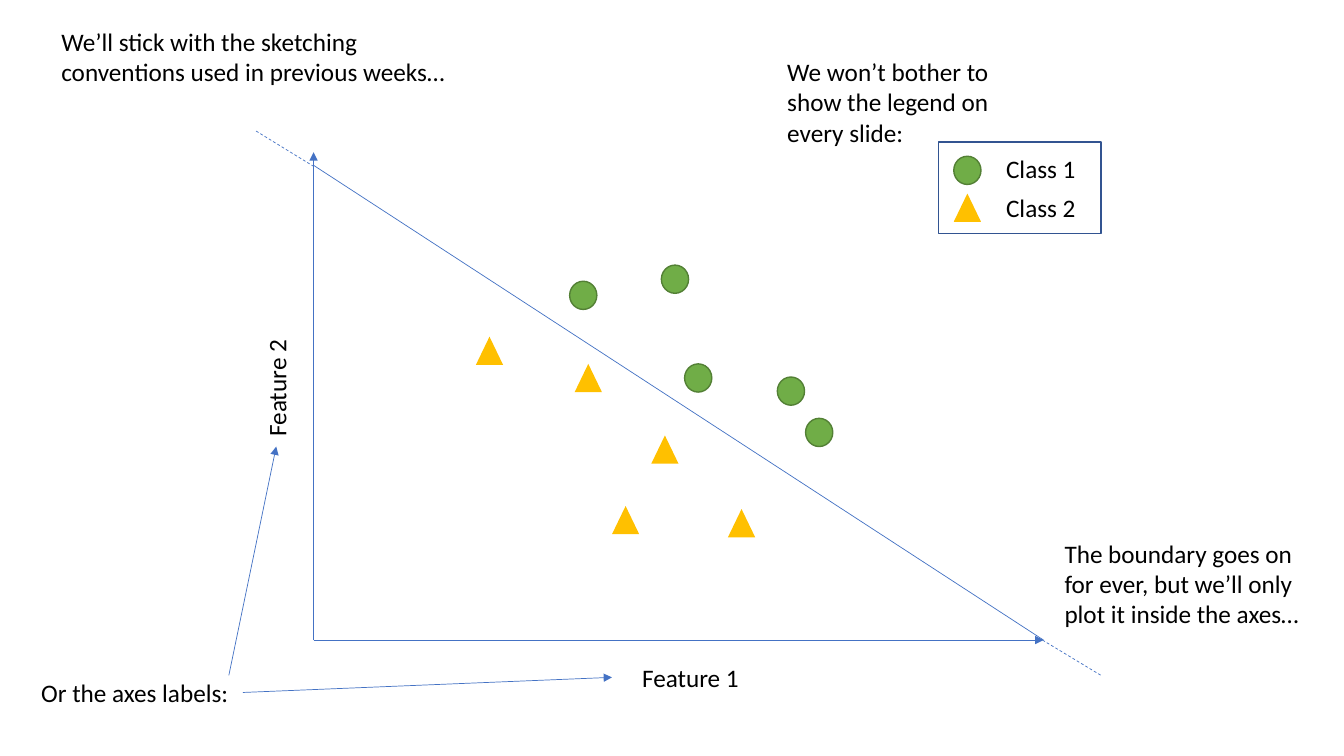
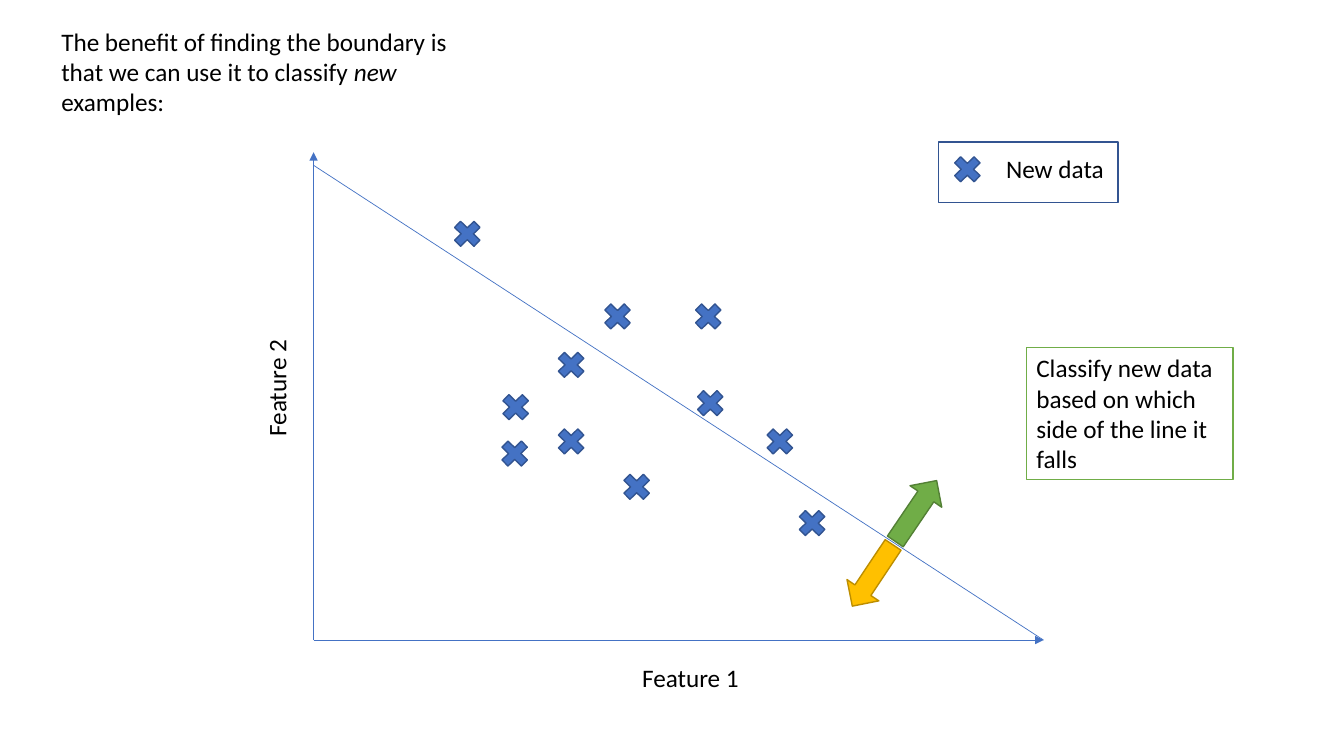
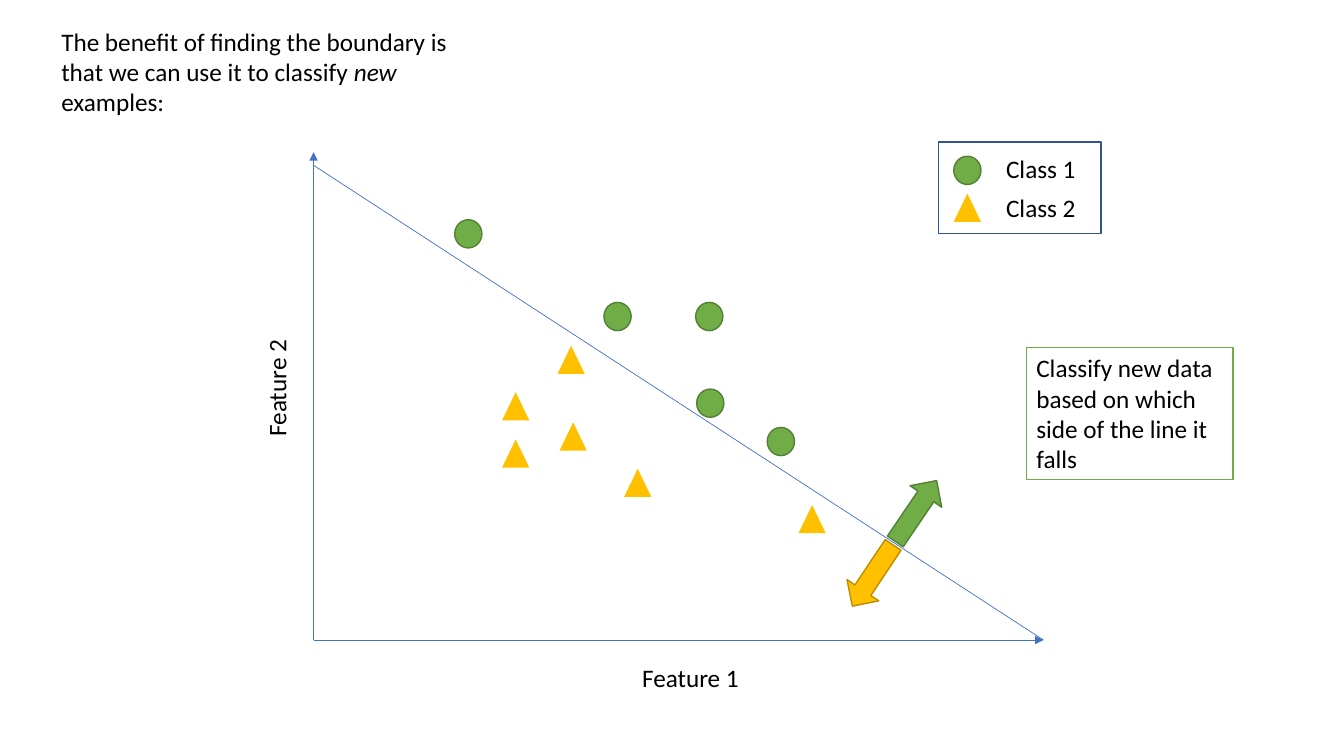
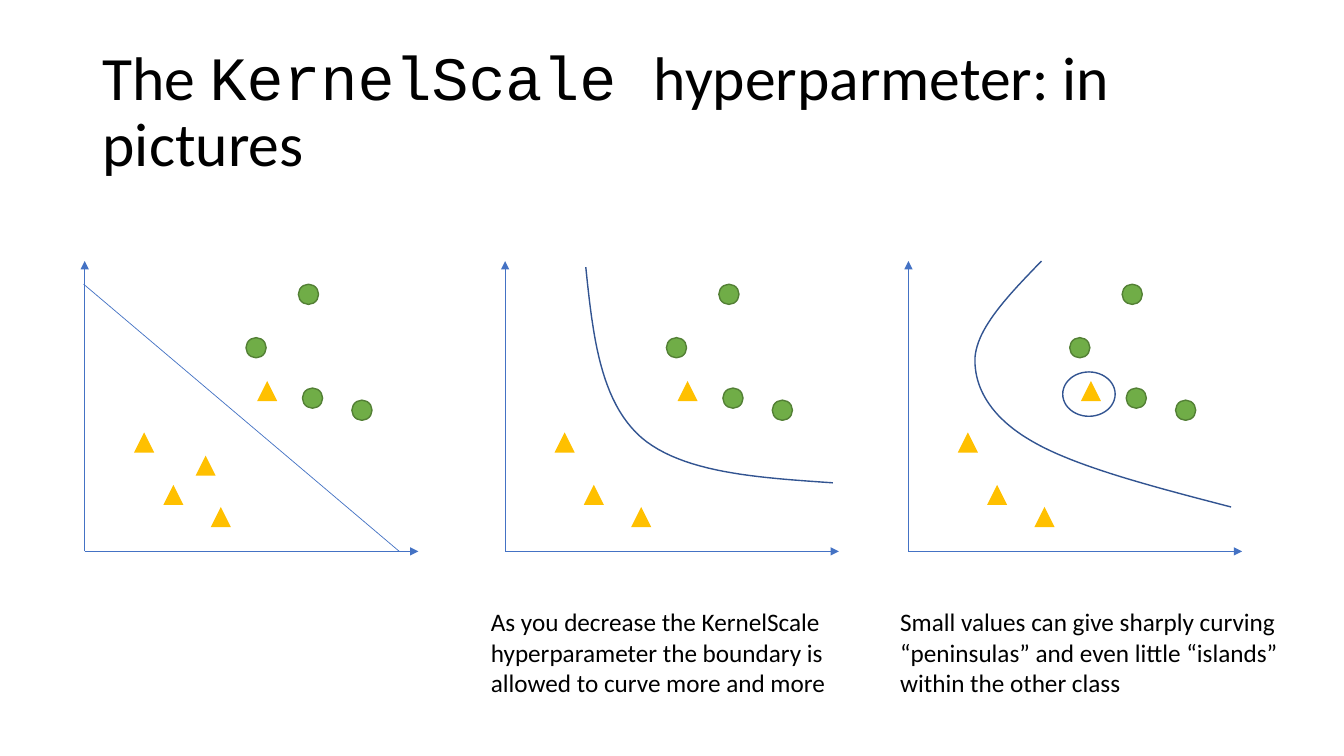
from pptx import Presentation
from pptx import util as u
from pptx.dml.color import RGBColor
from pptx.enum import dml, shapes, text
from pptx.oxml.xmlchemy import OxmlElement

FONT, CODE_FONT = "Calibri", "Courier New"
BLACK, WHITE = "000000", "FFFFFF"
BLUE, NAVY = "4472C4", "325491"
GREEN, DARK_GREEN = "70AD47", "538035"
GOLD, DARK_GOLD = "FFC000", "BD8E00"

# kind: preset, fill, line, width, height
MARKERS = {
    "class 1": (shapes.MSO_SHAPE.OVAL, GREEN, DARK_GREEN, 0.27, 0.28),
    "class 2": (shapes.MSO_SHAPE.ISOSCELES_TRIANGLE, GOLD, None, 0.27, 0.28),
    "new": (shapes.MSO_SHAPE.MATH_MULTIPLY, BLUE, NAVY, 0.37, 0.36),
}

# Large plot: training data, then new data before and after classification
TRAINING = {
    "class 2": [(4.72, 3.34), (5.7, 3.61), (6.46, 4.32), (7.22, 5.05), (6.07, 5.02)],
    "class 1": [(5.65, 2.79), (6.56, 2.63), (6.79, 3.61), (7.71, 3.74), (7.99, 4.15)],
}
UNLABELLED = {
    "new": [(4.93, 3.86), (5.48, 4.2), (5.48, 3.44), (6.86, 3.82), (5.94, 2.96), (4.45, 2.14),
            (7.55, 4.2), (4.92, 4.32), (6.13, 4.65), (7.87, 5.01), (6.84, 2.96)],
}
CLASSIFIED = {
    "class 1": [(6.91, 3.86), (6.9, 3), (7.61, 4.24), (4.51, 2.18), (5.99, 3)],
    "class 2": [(5.55, 4.19), (5.53, 3.43), (4.98, 4.36), (4.98, 3.89), (6.19, 4.65),
                (7.92, 5.01)],
}
CLASS_LEGEND = [("class 1", 9.46, 1.55, "Class 1"), ("class 2", 9.46, 1.92, "Class 2")]
NEW_LEGEND = [("new", 9.41, 1.5, "New data")]

CONVENTION_NOTES = [
    ("We’ll stick with the sketching conventions used in previous weeks…", 0.51, 0.21, 4.06, 0.71),
    ("We won’t bother to show the legend on every slide:", 7.71, 0.51, 2.63, 1.01),
    ("Or the axes labels:", 0.31, 6.67, 2.63, 0.4),
    ("The boundary goes on for ever, but we’ll only plot it inside the axes…",
     10.46, 5.29, 2.63, 1.01),
]
BOUNDARY_EXTENSIONS = [((2.54, 1.3), (3.11, 1.65)), ((10.34, 6.35), (10.92, 6.7))]
LABEL_POINTERS = [((2.27, 6.7), (2.74, 4.43)), ((2.41, 6.87), (6.07, 6.72))]

BENEFIT = [("The benefit of finding the boundary is that we can use it to classify ", {}),
           ("new", {"italic": True}), (" examples:", {})]
CALLOUT = "Classify new data based on which side of the line it falls"
SIDE_ARROWS = [(8.29, 5.52, 123.7, GOLD, DARK_GOLD), (8.72, 4.88, 304.2, GREEN, DARK_GREEN)]

# Small plots: x is measured from each plot's own vertical axis
TITLE = [("The ", {}), ("KernelScale ", {"name": CODE_FONT}), ("hyperparmeter: in pictures", {})]
PANEL_LEFTS = [0.84, 5.01, 9.01]
PANEL_POINTS = {
    "class 2": [(0.49, 4.29), (0.78, 4.81), (1.25, 5.03), (1.71, 3.78)],
    "class 1": [(2.12, 2.82), (1.6, 3.35), (2.16, 3.85), (2.65, 3.97)],
}
FIRST_PANEL_EXTRA = {"class 2": [(1.1, 4.52)]}
# Start point, then cubic Bezier segments
CURVES = [
    ((5.81, 2.65), [((5.88, 3.32), (5.95, 3.98), (6.36, 4.34)),
                    ((6.77, 4.69), (7.51, 4.74), (8.26, 4.79))]),
    ((10.33, 2.59), [((10.01, 2.92), (9.69, 3.25), (9.67, 3.55)),
                     ((9.66, 3.84), (9.82, 4.14), (10.24, 4.38)),
                     ((10.67, 4.63), (11.44, 4.83), (12.21, 5.03))]),
]
CURVE_STEPS = 24
PANEL_NOTES = [
    ("As you decrease the KernelScale hyperparameter the boundary is allowed to curve "
     "more and more", 4.77, 5.97, 4.06, 1.01),
    ("Small values can give sharply curving “peninsulas” and even little “islands” "
     "within the other class", 8.83, 5.97, 4.06, 1.01),
]


def rgb(hex_colour):
    return RGBColor.from_string(hex_colour)


def style(sp, fill, line):
    sp.shadow.inherit = False
    if fill:
        sp.fill.solid()
        sp.fill.fore_color.rgb = rgb(fill)
    else:
        sp.fill.background()
    if line:
        sp.line.color.rgb = rgb(line)
        sp.line.width = u.Pt(1)
    else:
        sp.line.fill.background()


def add_shape(s, preset, x, y, w, h, fill=None, line=None, rotation=0):
    sp = s.shapes.add_shape(preset, *map(u.Inches, (x, y, w, h)))
    style(sp, fill, line)
    sp.rotation = rotation
    return sp


def write(sp, runs, size=18):
    """Fill a shape with one paragraph; runs is a string or (text, font changes) pairs."""
    tf = sp.text_frame
    tf.word_wrap = True
    tf.vertical_anchor = text.MSO_ANCHOR.TOP
    p = tf.paragraphs[0]
    p.alignment = text.PP_ALIGN.LEFT
    for words, changes in [(runs, {})] if isinstance(runs, str) else runs:
        r = p.add_run()
        r.text = words
        r.font.size = u.Pt(size)
        r.font.color.rgb = rgb(BLACK)
        r.font.name = changes.get("name", FONT)
        r.font.italic = changes.get("italic")
    return tf


def add_text(s, runs, x, y, w, h, size=18, rotation=0):
    sp = s.shapes.add_textbox(*map(u.Inches, (x, y, w, h)))
    sp.rotation = rotation
    return write(sp, runs, size)


def add_line(s, start, end, arrow=False, dashed=False):
    cn = s.shapes.add_connector(shapes.MSO_CONNECTOR.STRAIGHT, *map(u.Inches, start + end))
    cn.line.color.rgb = rgb(BLUE)
    cn.line.width = u.Pt(0.5)
    if dashed:
        cn.line.dash_style = dml.MSO_LINE.DASH
    if arrow:
        tail = OxmlElement("a:tailEnd")
        tail.set("type", "triangle")
        cn.line._get_or_add_ln().append(tail)
    cn._element.spPr.append(OxmlElement("a:effectLst"))


def add_axes(s, left, bottom, top, right):
    add_line(s, (left, bottom), (left, top), arrow=True)
    add_line(s, (left, bottom), (right, bottom), arrow=True)


def add_marker(s, kind, x, y, size=None):
    preset, fill, line, w, h = MARKERS[kind]
    add_shape(s, preset, x, y, size or w, size or h, fill, line)


def add_points(s, points, left=0, size=None):
    for kind, places in points.items():
        for x, y in places:
            add_marker(s, kind, left + x, y, size)


def add_curve(s, start, segments):
    points, p0 = [], start
    for p1, p2, p3 in segments:
        for i in range(1, CURVE_STEPS + 1):
            t = i / CURVE_STEPS
            weights = ((1 - t) ** 3, 3 * t * (1 - t) ** 2, 3 * t * t * (1 - t), t ** 3)
            points.append(tuple(u.Inches(sum(k * c for k, c in zip(weights, axis)))
                                for axis in zip(p0, p1, p2, p3)))
        p0 = p3
    builder = s.shapes.build_freeform(*map(u.Inches, start))
    builder.add_line_segments(points, close=False)
    style(builder.convert_to_shape(), None, NAVY)


def add_plot(s, points, legend, legend_w, legend_h):
    """Draw the large plot with its axis labels, boundary, points and legend."""
    add_axes(s, 3.11, 6.35, 1.51, 10.35)
    add_points(s, points)
    for i, (kind, x, y, label) in enumerate(legend):
        add_marker(s, kind, x, y)
        add_text(s, label, 9.88, 1.47 + 0.39 * i, 1.22, 0.4)
    add_shape(s, shapes.MSO_SHAPE.RECTANGLE, 9.31, 1.41, legend_w, legend_h, line=NAVY)
    add_text(s, "Feature 1", 6.27, 6.52, 1.22, 0.4)
    add_text(s, "Feature 2", 2.13, 3.62, 1.22, 0.4, rotation=270)
    add_line(s, (3.11, 1.64), (10.35, 6.35))


def conventions_slide(s):
    add_plot(s, TRAINING, CLASS_LEGEND, 1.61, 0.91)
    for start, end in BOUNDARY_EXTENSIONS:
        add_line(s, start, end, dashed=True)
    for start, end in LABEL_POINTERS:
        add_line(s, start, end, arrow=True)
    for note in CONVENTION_NOTES:
        add_text(s, *note)


def benefit_slide(s, points, legend, legend_w, legend_h):
    add_plot(s, points, legend, legend_w, legend_h)
    for x, y, angle, fill, line in SIDE_ARROWS:
        add_shape(s, shapes.MSO_SHAPE.RIGHT_ARROW, x, y, 0.73, 0.38, fill, line, angle)
    callout = add_shape(s, shapes.MSO_SHAPE.RECTANGLE, 10.18, 3.45, 2.05, 1.31, WHITE, GREEN)
    write(callout, CALLOUT)
    add_text(s, BENEFIT, 0.51, 0.21, 4.06, 1.01)


def kernel_scale_slide(s):
    tf = add_text(s, TITLE, 0.92, 0.4, 11.5, 1.45, size=44)
    tf.vertical_anchor = text.MSO_ANCHOR.MIDDLE
    tf.paragraphs[0].line_spacing = 0.9
    for left in PANEL_LEFTS:
        add_axes(s, left, 5.47, 2.59, left + 3.31)
        add_points(s, PANEL_POINTS, left, 0.2)
    add_points(s, FIRST_PANEL_EXTRA, PANEL_LEFTS[0], 0.2)
    add_line(s, (0.83, 2.82), (3.96, 5.47))
    for start, segments in CURVES:
        add_curve(s, start, segments)
    add_shape(s, shapes.MSO_SHAPE.OVAL, 10.54, 3.69, 0.52, 0.44, line=NAVY)
    for note in PANEL_NOTES:
        add_text(s, *note)


def main():
    prs = Presentation()
    prs.slide_width, prs.slide_height = u.Inches(13.33), u.Inches(7.5)
    blank = prs.slide_layouts[6]
    conventions_slide(prs.slides.add_slide(blank))
    benefit_slide(prs.slides.add_slide(blank), UNLABELLED, NEW_LEGEND, 1.78, 0.6)
    benefit_slide(prs.slides.add_slide(blank), CLASSIFIED, CLASS_LEGEND, 1.61, 0.91)
    kernel_scale_slide(prs.slides.add_slide(blank))
    prs.save("out.pptx")


if __name__ == "__main__":
    main()
